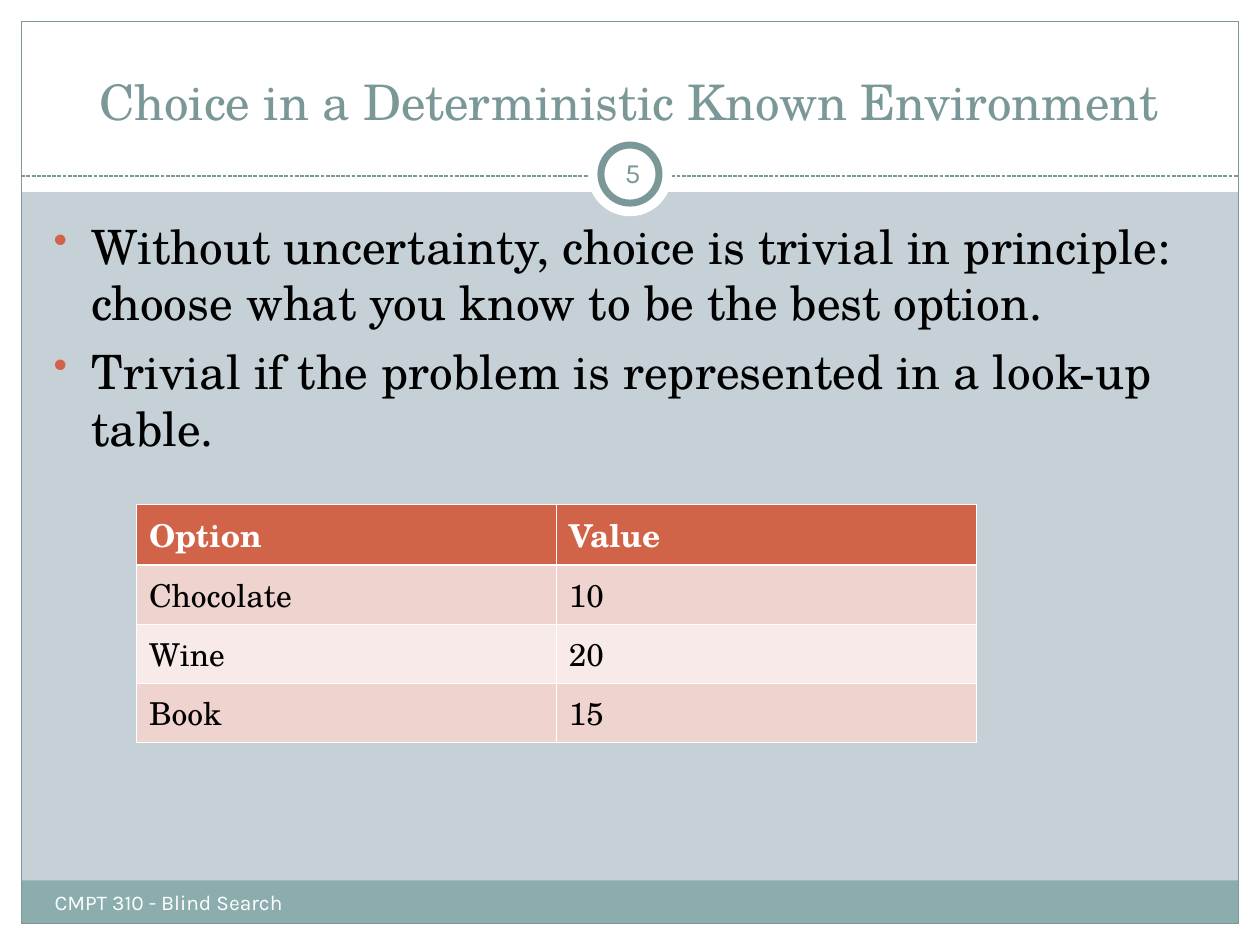
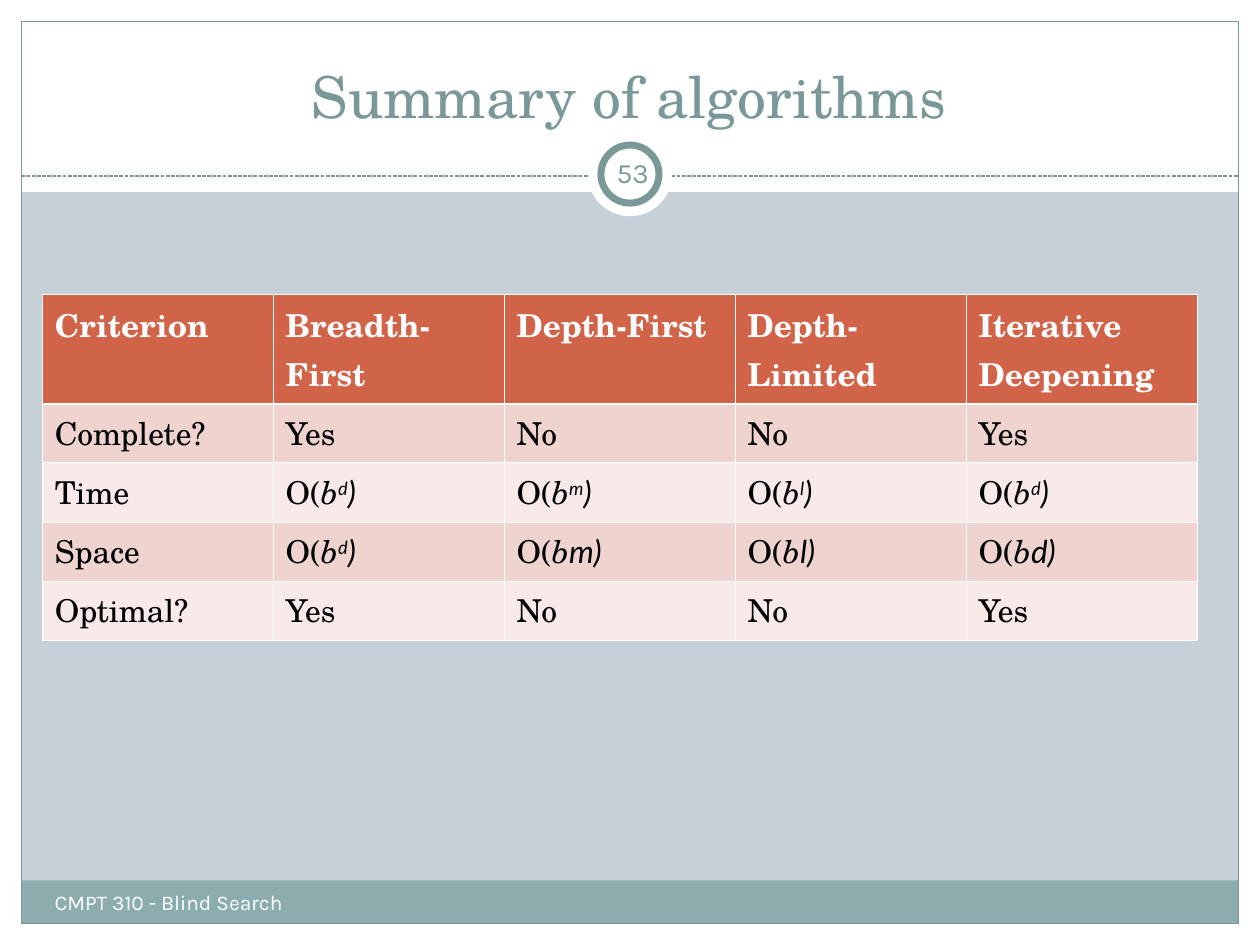
import pptx
import pptx.dml.color
import pptx.enum.dml
import pptx.enum.shapes
import pptx.enum.text
import pptx.oxml
import pptx.oxml.ns
import pptx.util

Cm, Pt = pptx.util.Cm, pptx.util.Pt
SHAPE = pptx.enum.shapes.MSO_SHAPE
ALIGN = pptx.enum.text.PP_ALIGN
ANCHOR = pptx.enum.text.MSO_ANCHOR

SERIF, SANS, MATH = "TeX Gyre Schola", "Karla", "Lato"
WHITE, BLACK, TEAL = "FFFFFF", "000000", "7B9899"
PALE, BAND, RUST = "C5D1D7", "8CADAE", "D16349"
ROWS = ("EED3CF", "F7EAE9")
WIDE, HIGH, EDGE = 25.4, 19.05, 0.43


def order(sup="", tail=""):
    """Runs for O(b...), with an exponent or a plain factor."""
    runs = [("O(", {}), ("b", {"italic": True})]
    if sup:
        runs.append((sup, {"italic": True, "face": MATH, "base": 30}))
    return runs + [(tail + ")", {"italic": True, "face": MATH})]


# Content
FOOT = "CMPT 310 - Blind Search"
SLIDES = [
    {
        "title": "Choice in a Deterministic Known Environment",
        "size": 28,
        "page": "5",
        "points": [
            "Without uncertainty, choice is trivial in principle: "
            "choose what you know to be the best option.",
            "Trivial if the problem is represented in a look-up table.",
        ],
        "at": (2.75, 10.16, 16.93),
        "head": 1.23,
        "table": [
            ["Option", "Value"],
            ["Chocolate", "10"],
            ["Wine", "20"],
            ["Book", "15"],
        ],
    },
    {
        "title": "Summary of algorithms",
        "size": 33,
        "page": "53",
        "points": [],
        "at": (0.85, 5.93, 23.28),
        "head": 2.21,
        "table": [
            ["Criterion", "Breadth-First", "Depth-First", "Depth-Limited",
             "Iterative Deepening"],
            ["Complete?", "Yes", "No", "No", "Yes"],
            ["Time", order("d"), order("m"), order("l"), order("d")],
            ["Space", order("d"), order(tail="m"), order(tail="l"),
             order(tail="d")],
            ["Optimal?", "Yes", "No", "No", "Yes"],
        ],
    },
]


def paint(form, color):
    form.solid()
    form.fore_color.rgb = pptx.dml.color.RGBColor.from_string(color)


def node(tag, inner="", **attrs):
    pairs = " ".join(f'{key}="{val}"' for key, val in attrs.items())
    space = pptx.oxml.ns.nsdecls("a")
    return pptx.oxml.parse_xml(f"<a:{tag} {space} {pairs}>{inner}</a:{tag}>")


def write(para, text, size=18, face=SERIF, color=BLACK, bold=False,
          italic=False, base=0, align=ALIGN.LEFT):
    """Fill a paragraph with a string or a list of (text, format) runs."""
    para.alignment = align
    if not isinstance(text, str):
        for part, form in text:
            write(para, part, **{"size": size, "color": color, **form})
        return
    run = para.add_run()
    run.text = text
    font = run.font
    font.size, font.name, font.bold, font.italic = Pt(size), face, bold, italic
    paint(font.fill, color)
    if base:
        run._r.get_or_add_rPr().set("baseline", str(base * 1000))


def frame(slide, box, anchor=ANCHOR.TOP, side=0.25):
    body = slide.shapes.add_textbox(*map(Cm, box)).text_frame
    body.word_wrap = True
    body.vertical_anchor = anchor
    body.margin_left = body.margin_right = Cm(side)
    body.margin_top = body.margin_bottom = Cm(0.13)
    return body


def block(slide, box, fill=None, line=None, width=0.75, kind=SHAPE.RECTANGLE):
    shape = slide.shapes.add_shape(kind, *map(Cm, box))
    shape.shadow.inherit = False
    if fill:
        paint(shape.fill, fill)
    else:
        shape.fill.background()
    if line:
        paint(shape.line.fill, line)
        shape.line.width = Pt(width)
    else:
        shape.line.fill.background()


def ring(slide, size, **form):
    block(slide, ((WIDE - size) / 2, 3.51 - size / 2, size, size),
          kind=SHAPE.OVAL, **form)


def base(slide, item):
    """Draw the bands, border, title, footer and page number."""
    paint(slide.background.fill, PALE)
    for box in [(0, HIGH - EDGE, WIDE, EDGE), (0, 0, WIDE, 3.87),
                (0, 0, EDGE, HIGH), (WIDE - EDGE, 0, EDGE, HIGH)]:
        block(slide, box, WHITE)
    inner = WIDE - 2 * EDGE
    block(slide, (EDGE, 17.75, inner, 0.87), BAND)
    block(slide, (EDGE, EDGE, inner, HIGH - 2 * EDGE), line=TEAL)

    rule = slide.shapes.add_connector(
        pptx.enum.shapes.MSO_CONNECTOR.STRAIGHT,
        Cm(EDGE), Cm(3.55), Cm(WIDE - EDGE), Cm(3.55))
    paint(rule.line.fill, TEAL)
    rule.line.width = Pt(0.75)
    rule.line.dash_style = pptx.enum.dml.MSO_LINE.SQUARE_DOT
    rule._element.spPr.append(node("effectLst"))
    ring(slide, 1.7, fill=WHITE)
    ring(slide, 1.17, fill=WHITE, line=TEAL, width=4)

    head = frame(slide, (0.83, 0.64, 23.7, 2.11), ANCHOR.BOTTOM)
    write(head.paragraphs[0], item["title"], size=item["size"], color=TEAL,
          align=ALIGN.CENTER)
    foot = frame(slide, (0.85, 17.8, 9.96, 1.02))
    write(foot.paragraphs[0], FOOT, size=12, face=SANS, color=WHITE)
    page = frame(slide, (12.12, 2.86, 1.27, 1.22), ANCHOR.MIDDLE, 0.13)
    write(page.paragraphs[0], item["page"], size=16, face=SANS, color=TEAL,
          align=ALIGN.CENTER)


def points(slide, lines):
    body = frame(slide, (0.83, 4.24, 23.62, 12.7))
    for num, text in enumerate(lines):
        para = body.add_paragraph() if num else body.paragraphs[0]
        props = para._p.get_or_add_pPr()
        props.set("marL", str(Cm(0.76)))
        props.set("indent", str(-Cm(0.76)))
        props.append(node("buClr", f'<a:srgbClr val="{RUST}"/>'))
        props.append(node("buSzPct", val=85000))
        props.append(node("buChar", char="•"))
        para.space_before = Pt(6.8 if num else 0)
        write(para, text, size=27)


def edges(cell, row):
    """Thin white borders, thicker between the header and the body."""
    thick = {"T": row == 1, "B": row == 0}
    props = cell._tc.get_or_add_tcPr()
    fill = f'<a:solidFill><a:srgbClr val="{WHITE}"/></a:solidFill>'
    for num, side in enumerate("LRTB"):
        width = Pt(1.47 if thick.get(side) else 0.45)
        props.insert(num, node("ln" + side, fill, w=width))


def grid(slide, rows, at, head):
    left, top, width = at
    count = len(rows[0])
    tall = [head] + [1.19] * (len(rows) - 1)
    table = slide.shapes.add_table(len(rows), count, Cm(left), Cm(top),
                                   Cm(width), Cm(sum(tall))).table
    for col in table.columns:
        col.width = Cm(width / count)
    for r, line in enumerate(rows):
        table.rows[r].height = Cm(tall[r])
        for c, text in enumerate(line):
            cell = table.cell(r, c)
            paint(cell.fill, ROWS[(r - 1) % 2] if r else RUST)
            edges(cell, r)
            write(cell.text_frame.paragraphs[0], text, bold=r == 0,
                  color=BLACK if r else WHITE)


def main():
    deck = pptx.Presentation()
    deck.slide_width, deck.slide_height = Cm(WIDE), Cm(HIGH)
    for item in SLIDES:
        slide = deck.slides.add_slide(deck.slide_layouts[6])
        base(slide, item)
        if item["points"]:
            points(slide, item["points"])
        grid(slide, item["table"], item["at"], item["head"])
    deck.save("out.pptx")


if __name__ == "__main__":
    main()
